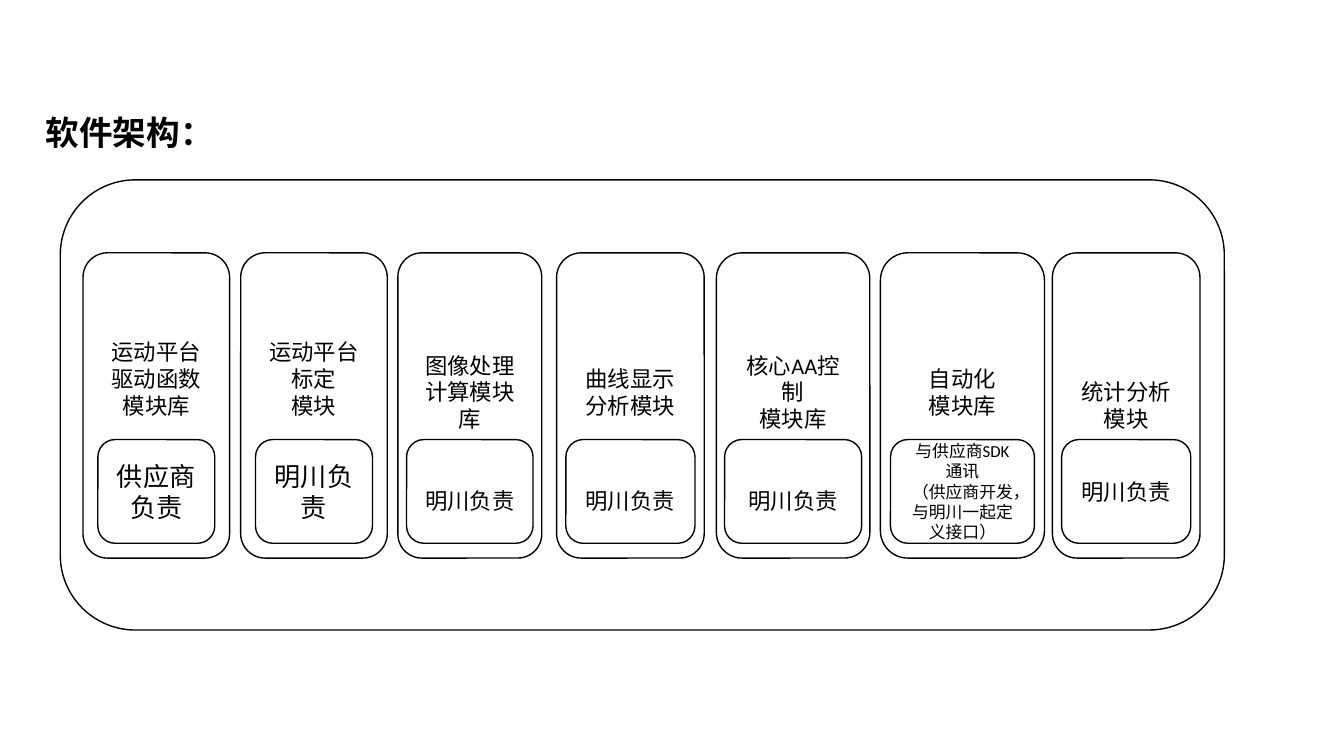
from pptx import Presentation
from pptx.dml.color import RGBColor
from pptx.enum import shapes, text
from pptx.util import Cm, Pt

HUES = {"ink": "000000"}
FONT = "Calibri"
TITLE = "软件架构："
FRAME = (1.14, 3.4, 22, 8.51)
TOP, TALL = 4.78, 5.77
ROLE_TOP, ROLE_TALL = 8.31, 1.96
LINE, DROP = 0.51, 0.34

MODULES = [
    {"left": 1.57, "wide": 2.77, "name": ["运动平台驱动函数", "模块库"], "lift": 2,
     "inner": 2.21, "role": ["供应商负责"], "size": 14, "drop": 0},
    {"left": 4.55, "wide": 2.77, "name": ["运动平台标定", "模块"], "lift": 2,
     "inner": 2.21, "role": ["明川负责"], "size": 14, "drop": 0},
    {"left": 7.52, "wide": 2.72, "name": ["图像处理计算模块库"], "lift": 1,
     "inner": 2.39, "role": ["明川负责"], "size": 12, "drop": DROP},
    {"left": 10.52, "wide": 2.79, "name": ["曲线显示分析模块"], "lift": 1,
     "inner": 2.44, "role": ["明川负责"], "size": 12, "drop": DROP},
    {"left": 13.54, "wide": 2.9, "name": ["核心AA控制", "模块库"], "lift": 1,
     "inner": 2.59, "role": ["明川负责"], "size": 12, "drop": DROP},
    {"left": 16.64, "wide": 3.1, "name": ["自动化", "模块库"], "lift": 1,
     "inner": 2.72, "role": ["与供应商SDK通讯", "（供应商开发，与明川一起定义接口）"],
     "size": 9, "drop": 0},
    {"left": 19.89, "wide": 2.79, "name": ["统计分析模块"], "lift": 0,
     "inner": 2.44, "role": ["明川负责"], "size": 12, "drop": 0},
]


def write(frame, lines, size, align, bold=False):
    frame.text = "\n".join(lines)
    for para in frame.paragraphs:
        para.alignment = align
        para.font.name = FONT
        para.font.size = Pt(size)
        para.font.bold = bold
        para.font.color.rgb = RGBColor.from_string(HUES["ink"])


def add_box(slide, area, lines=(), size=12, drop=0, lift=0):
    box = slide.shapes.add_shape(
        shapes.MSO_SHAPE.ROUNDED_RECTANGLE, *(Cm(n) for n in area))
    box.shadow.inherit = False
    box.fill.background()
    box.line.color.rgb = RGBColor.from_string(HUES["ink"])
    box.line.width = Pt(0.75)
    if lines:
        frame = box.text_frame
        frame.word_wrap = True
        frame.vertical_anchor = text.MSO_ANCHOR.MIDDLE
        frame.margin_top = Cm(0.13 + drop)
        frame.margin_bottom = Cm(0.13 + lift)
        write(frame, lines, size, text.PP_ALIGN.CENTER)


def main():
    deck = Presentation()
    deck.slide_width, deck.slide_height = Cm(25.4), Cm(14.29)
    slide = deck.slides.add_slide(deck.slide_layouts[5])

    title = slide.shapes.title
    title.left, title.top = Cm(0.61), Cm(1.98)
    title.width, title.height = Cm(3.73), Cm(1.02)
    frame = title.text_frame
    frame.word_wrap = False
    frame.auto_size = text.MSO_AUTO_SIZE.SHAPE_TO_FIT_TEXT
    frame.vertical_anchor = text.MSO_ANCHOR.TOP
    write(frame, [TITLE], 18, text.PP_ALIGN.LEFT, True)

    add_box(slide, FRAME)
    for mod in MODULES:
        left, wide, inner = mod["left"], mod["wide"], mod["inner"]
        add_box(slide, (left, TOP, wide, TALL), mod["name"],
                lift=mod["lift"] * LINE)
        add_box(slide, (left + (wide - inner) / 2, ROLE_TOP, inner, ROLE_TALL),
                mod["role"], mod["size"], mod["drop"])

    deck.save("out.pptx")


if __name__ == "__main__":
    main()
